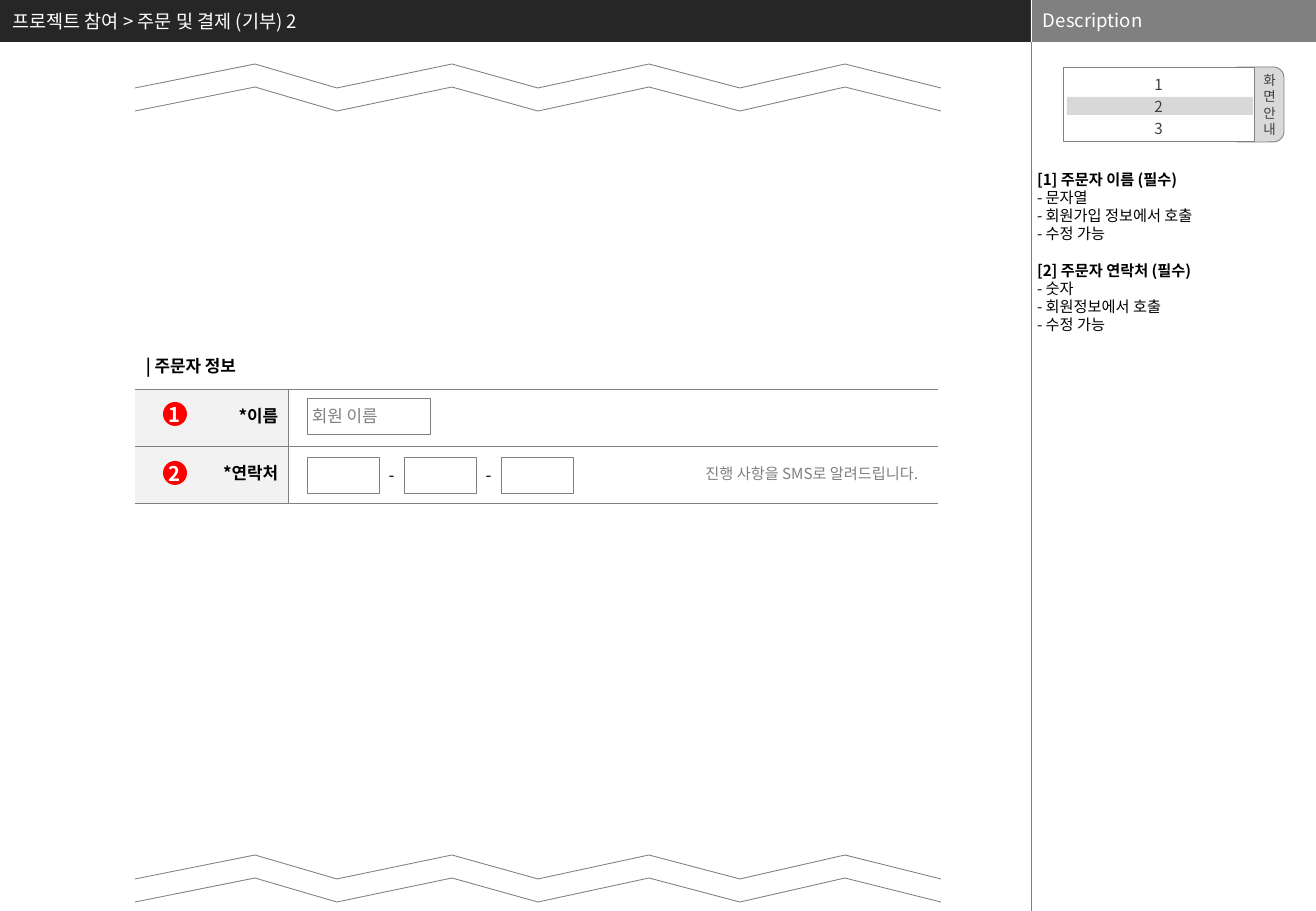
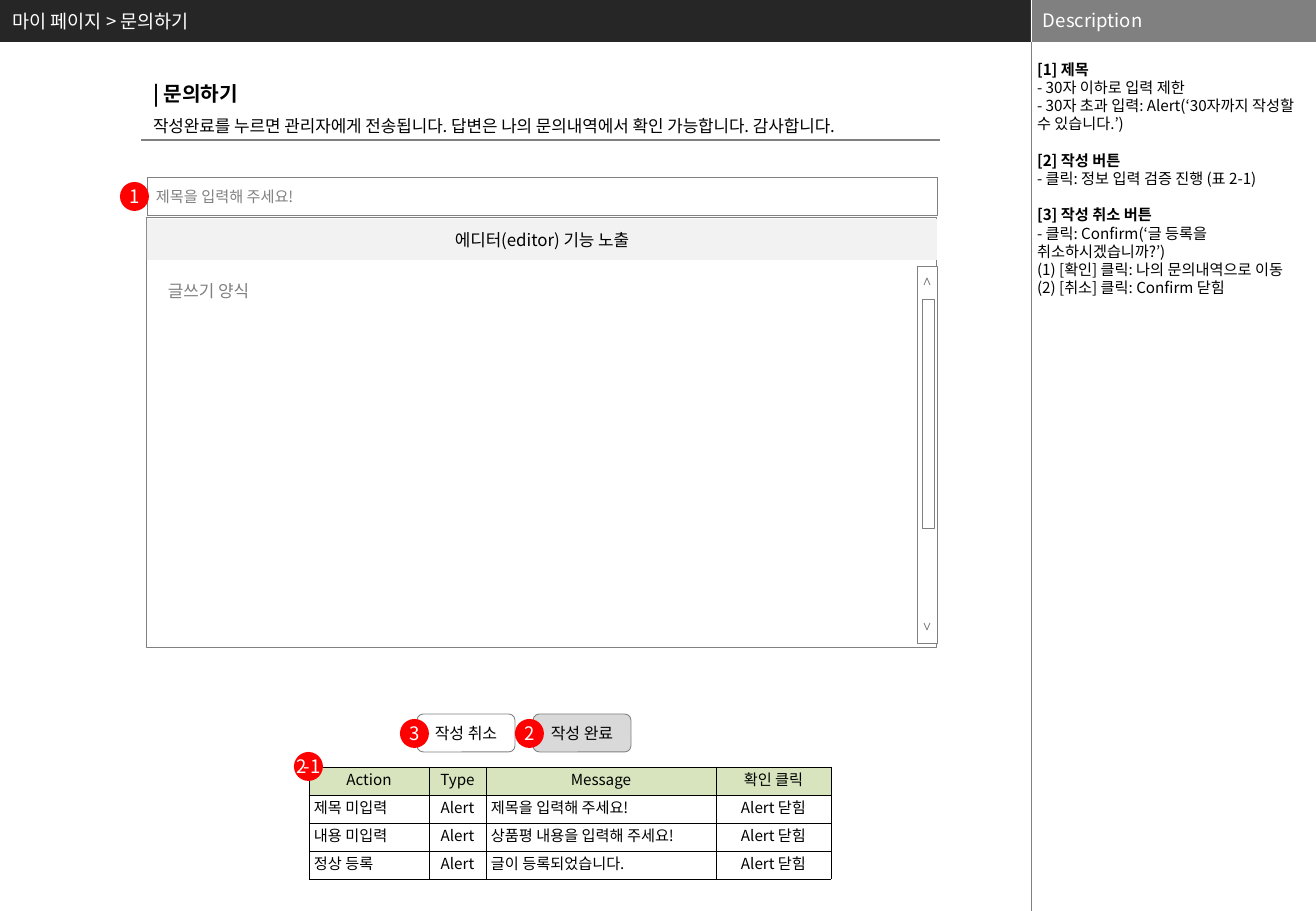
from lxml.etree import SubElement
from pptx import Presentation
from pptx.dml.color import RGBColor
from pptx.enum.shapes import MSO_CONNECTOR, MSO_SHAPE as SHAPE
from pptx.enum.text import MSO_ANCHOR as ANCHOR, MSO_AUTO_SIZE, PP_ALIGN as ALIGN
from pptx.oxml.ns import qn
from pptx.util import Emu, Pt

WIDTH, HEIGHT, HEADER, SPLIT = 1316, 911, 42, 1031


class Theme:
    font = "Noto Sans CJK KR"
    black, white, red = "000000", "FFFFFF", "FF0000"
    dark, ink, gray, divider = "262626", "404040", "808080", "7F7F7F"
    light, pale, green = "D9D9D9", "F2F2F2", "D7E4BD"
    title, heading, label, button, note, tab = 11, 12, 10, 9.5, 9, 8
    hairline, thin, rule = 0.25, 0.5, 0.75
    leading = 1.2
    no_table_style = "{2D5ABB26-0587-4C30-8999-92F81FD0307C}"


ORDER = {
    "title": "프로젝트 참여 > 주문 및 결제 (기부) 2",
    "notes_top": 170,
    "notes": [
        ("[1] 주문자 이름 (필수)", ["- 문자열", "- 회원가입 정보에서 호출", "- 수정 가능"]),
        ("[2] 주문자 연락처 (필수)", ["- 숫자", "- 회원정보에서 호출", "- 수정 가능"]),
    ],
    "screens": ["1", "2", "3"],
    "tab": list("화면안내"),
    "section": "| 주문자 정보",
    "rows": [["*이름", ""], ["*연락처", "진행 사항을 SMS로 알려드립니다."]],
    "name": "회원 이름",
    "badges": [("1", 163, 402), ("2", 163, 461)],
}
INQUIRY = {
    "title": "마이 페이지 > 문의하기",
    "notes_top": 60,
    "notes": [
        ("[1] 제목", ["- 30자 이하로 입력 제한",
                    "- 30자 초과 입력: Alert(‘30자까지 작성할 수 있습니다.’)"]),
        ("[2] 작성 버튼", ["- 클릭: 정보 입력 검증 진행 (표 2-1)"]),
        ("[3] 작성 취소 버튼", ["- 클릭: Confirm(‘글 등록을 취소하시겠습니까?’)",
                          "(1) [확인] 클릭: 나의 문의내역으로 이동",
                          "(2) [취소] 클릭: Confirm 닫힘"]),
    ],
    "heading": "| 문의하기",
    "guide": "작성완료를 누르면 관리자에게 전송됩니다. 답변은 나의 문의내역에서 확인 가능합니다. 감사합니다.",
    "subject": "제목을 입력해 주세요!",
    "toolbar": "에디터(editor) 기능 노출",
    "form": "글쓰기 양식",
    "buttons": [("작성 취소", 417, None), ("작성 완료", 533, Theme.light)],
    "rows": [
        ["Action", "Type", "Message", "확인 클릭"],
        ["제목 미입력", "Alert", "제목을 입력해 주세요!", "Alert 닫힘"],
        ["내용 미입력", "Alert", "상품평 내용을 입력해 주세요!", "Alert 닫힘"],
        ["정상 등록", "Alert", "글이 등록되었습니다.", "Alert 닫힘"],
    ],
    "badges": [("1", 120, 182), ("2", 515, 719), ("3", 400, 719),
               (("2-1", {"tight": 2}), 294, 752)],
}


def px(length):
    return Emu(round(length * 7526))


def rgb(color):
    return RGBColor.from_string(color)


def write_text(holder, lines, **options):
    """Fill a shape or cell; a line is a string or (string, overrides).

    gap is the space before in points; tight is the number of leading
    characters that are set closer together.
    """
    common = dict(size=Theme.note, color=Theme.black, bold=False, align=ALIGN.LEFT,
                  anchor=ANCHOR.MIDDLE, insets=(0, 0, 0, 0), spacing=1, gap=0,
                  tight=0, wrap=True) | options
    frame = holder.text_frame
    is_cell = hasattr(holder, "vertical_anchor")
    box = holder if is_cell else frame
    box.margin_left, box.margin_top, box.margin_right, box.margin_bottom = map(
        px, common["insets"])
    box.vertical_anchor = common["anchor"]
    if not is_cell:
        frame.word_wrap = common["wrap"]
        frame.auto_size = MSO_AUTO_SIZE.NONE
    for index, line in enumerate(lines):
        content, overrides = (line, {}) if isinstance(line, str) else line
        style = common | overrides
        paragraph = frame.add_paragraph() if index else frame.paragraphs[0]
        properties = paragraph._p.get_or_add_pPr()
        properties.set("marL", "0")
        properties.set("indent", "0")
        SubElement(properties, qn("a:buNone"))
        paragraph.alignment = style["align"]
        paragraph.line_spacing = Pt(style["size"] * Theme.leading * style["spacing"])
        paragraph.space_before = Pt(style["gap"])
        split = style["tight"]
        for part, tracking in ((content[:split], "-150"), (content[split:], None)):
            if not part:
                continue
            run = paragraph.add_run()
            run.text = part
            run.font.size = Pt(style["size"])
            run.font.bold = style["bold"]
            run.font.color.rgb = rgb(style["color"])
            run.font.name = Theme.font
            run_properties = run._r.get_or_add_rPr()
            SubElement(run_properties, qn("a:ea")).set("typeface", Theme.font)
            if tracking:
                run_properties.set("spc", tracking)


def paint(shape, fill=None, line=None):
    shape.shadow.inherit = False
    if fill:
        shape.fill.solid()
        shape.fill.fore_color.rgb = rgb(fill)
    else:
        shape.fill.background()
    if line:
        shape.line.color.rgb = rgb(line)
        shape.line.width = Pt(Theme.thin)
    else:
        shape.line.fill.background()
    return shape


def add_box(slide, place, fill=None, line=None, kind=SHAPE.RECTANGLE, lines=(), **options):
    shape = paint(slide.shapes.add_shape(kind, *map(px, place)), fill, line)
    if lines:
        write_text(shape, lines, **options)
    return shape


def add_label(slide, place, lines, **options):
    label = slide.shapes.add_textbox(*map(px, place))
    write_text(label, lines, **options)
    return label


def add_rule(slide, start, end, color, width):
    rule = slide.shapes.add_connector(MSO_CONNECTOR.STRAIGHT, *map(px, start + end))
    rule.line.color.rgb = rgb(color)
    rule.line.width = Pt(width)
    SubElement(rule.element.spPr, qn("a:effectLst"))
    return rule


def add_outline(slide, strokes, fill=None):
    """Draw open polylines, each a list of points, as one freeform."""
    builder = slide.shapes.build_freeform(*strokes[0][0], scale=7526)
    for index, stroke in enumerate(strokes):
        if index:
            builder.move_to(*stroke[0])
        builder.add_line_segments(stroke[1:], close=False)
    paint(builder.convert_to_shape(), fill, Theme.gray)


def add_badges(slide, badges, diameter, **options):
    for number, left, top in badges:
        add_box(slide, (left, top, diameter, diameter), Theme.red, kind=SHAPE.OVAL,
                lines=[number], color=Theme.white, align=ALIGN.CENTER, wrap=False, **options)


def add_grid(slide, left, top, columns, row_height, rows, border, cell_format):
    """Add a table; cell_format(row, column) gives fill, border sides, text options."""
    frame = slide.shapes.add_table(len(rows), len(columns), *map(
        px, (left, top, sum(columns), row_height * len(rows))))
    table = frame.table
    table.first_row = table.horz_banding = False
    next(frame.element.iter(qn("a:tableStyleId"))).text = Theme.no_table_style
    for column, width in zip(table.columns, columns):
        column.width = px(width)
    for row_index, row in enumerate(rows):
        table.rows[row_index].height = px(row_height)
        for column_index, content in enumerate(row):
            cell = table.cell(row_index, column_index)
            fill, sides, options = cell_format(row_index, column_index)
            write_text(cell, [content], **options)
            if fill:
                cell.fill.solid()
                cell.fill.fore_color.rgb = rgb(fill)
            else:
                cell.fill.background()
            properties = cell._tc.get_or_add_tcPr()
            for position, side in enumerate(sides):
                edge = SubElement(properties, qn(f"a:ln{side}"), w=str(Pt(Theme.thin)))
                solid = SubElement(edge, qn("a:solidFill"))
                SubElement(solid, qn("a:srgbClr"), val=border)
                properties.insert(position, edge)


def move_frame_to_layout(slide, layout):
    """Draw the bands and dividers once and hand them to the layout."""
    for placeholder in list(layout.placeholders)[2:]:
        layout.shapes.element.remove(placeholder.element)
    side = WIDTH - SPLIT
    parts = [
        add_box(slide, (0, 0, SPLIT, HEADER), Theme.dark),
        add_box(slide, (SPLIT, 0, side, HEADER), Theme.gray),
        add_rule(slide, (SPLIT, 0), (SPLIT, HEADER), Theme.white, Theme.hairline),
        add_rule(slide, (SPLIT, HEADER), (SPLIT, HEIGHT), Theme.divider, Theme.hairline),
        add_label(slide, (SPLIT, 0, side, HEADER - 1), ["Description"],
                  size=Theme.title, color=Theme.white, insets=(12, 0, 12, 0)),
    ]
    for part in parts:
        layout.shapes.element.append(part.element)


def place_placeholder(placeholder, place, lines, **options):
    placeholder.left, placeholder.top, placeholder.width, placeholder.height = map(px, place)
    write_text(placeholder, lines, **options)


def fill_placeholders(slide, content):
    place_placeholder(slide.shapes.title, (0, 0, 1002, HEADER), [content["title"]],
                      size=Theme.title, color=Theme.white, insets=(12, 0, 12, 0))
    lines = []
    for heading, items in content["notes"]:
        gap = Theme.note * Theme.leading if lines else 0
        lines += [(heading, {"bold": True, "gap": gap}), *items]
    top = content["notes_top"]
    place_placeholder(slide.placeholders[1], (SPLIT + 1, top, WIDTH - SPLIT - 1, HEIGHT - top),
                      lines, anchor=ANCHOR.TOP, insets=(5, 0, 5, 0))


def add_torn_edge(slide, top):
    turns = (135, 255, 337, 452, 538, 649, 740, 845, 941)
    add_outline(slide, [[(x, top + offset + (0 if index % 2 else 24))
                         for index, x in enumerate(turns)] for offset in (0, 23)])


def add_screen_guide(slide, screens, tab):
    add_box(slide, (1228, 67, 56, 75), Theme.light, Theme.gray, SHAPE.ROUNDED_RECTANGLE,
            tab, size=Theme.tab, color=Theme.ink, align=ALIGN.RIGHT,
            insets=(0, 0, 5, 0), wrap=False).adjustments[0] = 0.19
    add_box(slide, (1063, 67, 191, 75), Theme.white, Theme.gray, lines=screens,
            color=Theme.ink, align=ALIGN.CENTER, spacing=1.2, insets=(5,) * 4, wrap=False)
    highlight = add_box(slide, (1067, 97, 186, 18), Theme.ink)
    color = next(highlight.element.spPr.iter(qn("a:srgbClr")))
    SubElement(color, qn("a:alpha"), val="20000")


def order_cell(row, column):
    if column == 0:
        return Theme.pale, "RTB", dict(size=Theme.label, bold=True, align=ALIGN.RIGHT,
                                       insets=(10,) * 4)
    return None, "LTB", dict(color=Theme.gray, align=ALIGN.RIGHT, insets=(20, 10, 20, 10))


def message_cell(row, column):
    centered = row == 0 or column in (1, 3)
    return (Theme.green if row == 0 else None, "LRTB",
            dict(align=ALIGN.CENTER if centered else ALIGN.LEFT, insets=(5, 0, 5, 0)))


def build_order(slide, content):
    add_torn_edge(slide, 64)
    add_screen_guide(slide, content["screens"], content["tab"])
    add_grid(slide, 135, 389, (153, 650), 57, content["rows"], Theme.gray, order_cell)
    add_label(slide, (134, 350, 205, 33), [content["section"]], size=Theme.label, bold=True,
              anchor=ANCHOR.TOP, insets=(12, 6, 12, 6))
    left, top, width, height, step = 307, 457, 72, 36, 97
    for index in range(3):
        x = left + index * step
        add_box(slide, (x, top, width, height), Theme.white, Theme.gray)
        if index:
            add_label(slide, (x - step + width, top, step - width, height), ["-"],
                      size=Theme.label, align=ALIGN.CENTER)
    add_box(slide, (left, 398, 124, height), Theme.white, Theme.gray, lines=[content["name"]],
            size=Theme.label, color=Theme.gray, insets=(5,) * 4, wrap=False)
    add_badges(slide, content["badges"], 24, size=Theme.heading, bold=True)
    add_torn_edge(slide, 855)


def build_inquiry(slide, content):
    add_label(slide, (141, 63, 790, 80),
              [(content["heading"], {"size": Theme.heading, "bold": True}), content["guide"]],
              size=Theme.label, spacing=1.5, anchor=ANCHOR.TOP, insets=(12, 6, 12, 6))
    add_rule(slide, (141, 140), (940, 140), Theme.gray, Theme.rule)
    add_box(slide, (147, 177, 791, 39), line=Theme.gray, lines=[content["subject"]],
            color=Theme.gray, insets=(9, 5, 5, 5), wrap=False)
    add_box(slide, (146, 217, 791, 430), line=Theme.gray)
    add_box(slide, (147, 219, 790, 41), Theme.pale, lines=[content["toolbar"]],
            size=Theme.label, align=ALIGN.CENTER, wrap=False)
    add_label(slide, (156, 275, 301, 33), [content["form"]], size=Theme.label,
              color=Theme.gray, anchor=ANCHOR.TOP, insets=(12, 6, 12, 6))
    for bar in ((918, 266, 20, 377), (922, 299, 12, 230)):
        add_box(slide, bar, Theme.white, Theme.gray)
    for base, tip in ((285, 278), (623, 630)):
        add_outline(slide, [[(924, base), (927, tip), (930, base)]], Theme.white)
    for caption, left, fill in content["buttons"]:
        add_box(slide, (left, 714, 98, 38), fill, Theme.gray, SHAPE.ROUNDED_RECTANGLE,
                [caption], size=Theme.button, align=ALIGN.CENTER, insets=(6,) * 4)
    add_grid(slide, 309, 767, (120, 57, 230, 115), 28, content["rows"], Theme.black,
             message_cell)
    add_badges(slide, content["badges"], 29, size=Theme.title)


def main():
    presentation = Presentation()
    presentation.slide_width, presentation.slide_height = px(WIDTH), px(HEIGHT)
    layout = presentation.slide_layouts[1]
    for index, (content, build) in enumerate(((ORDER, build_order), (INQUIRY, build_inquiry))):
        slide = presentation.slides.add_slide(layout)
        if index == 0:
            move_frame_to_layout(slide, layout)
        fill_placeholders(slide, content)
        build(slide, content)
    presentation.save("out.pptx")


if __name__ == "__main__":
    main()
